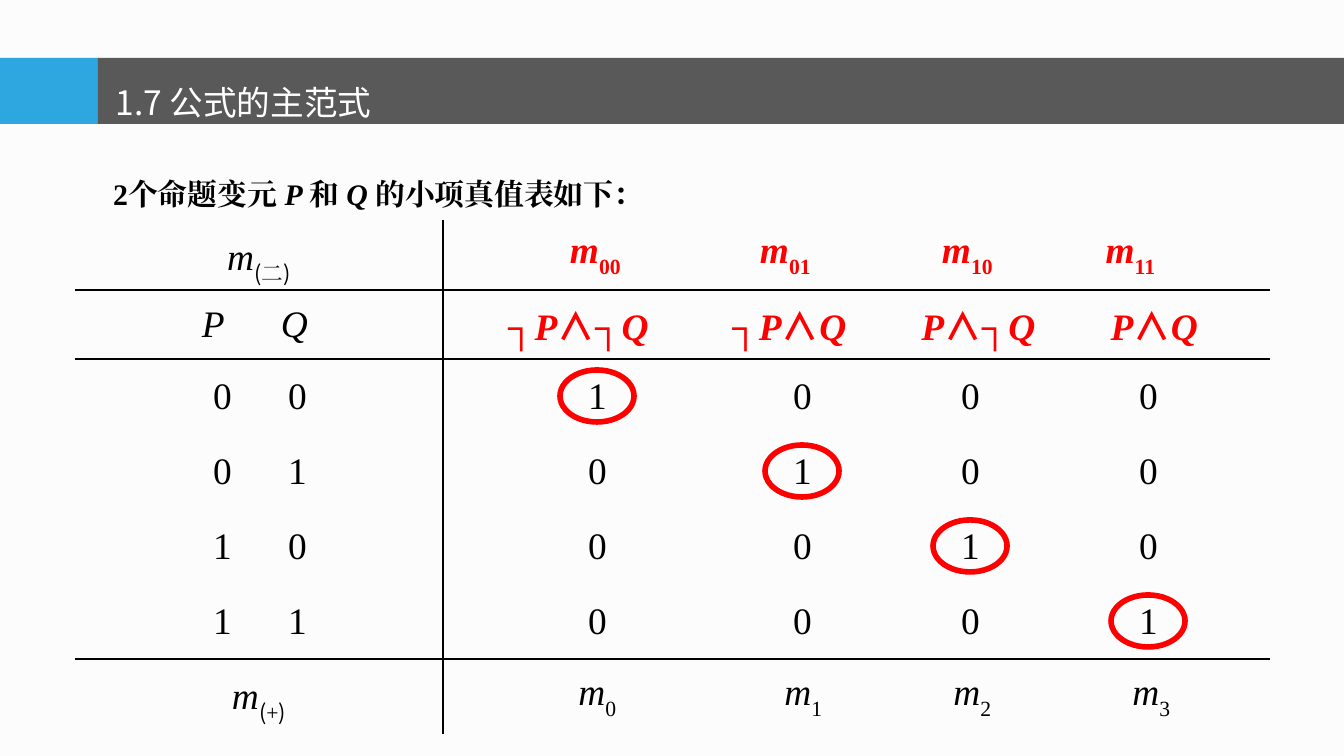
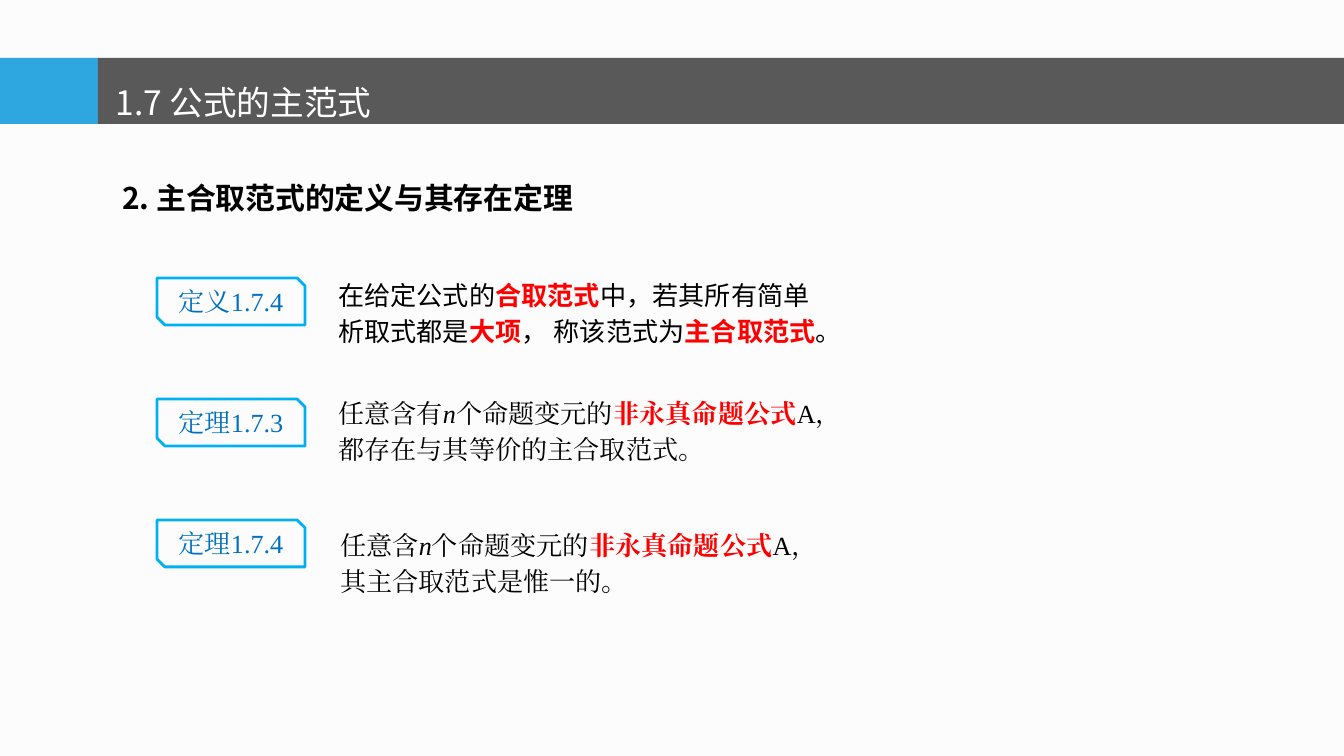
from lxml import etree
from pptx import Presentation
from pptx.dml.color import RGBColor
from pptx.enum.shapes import MSO_SHAPE
from pptx.enum.text import MSO_ANCHOR, MSO_AUTO_SIZE, PP_ALIGN
from pptx.oxml.ns import qn
from pptx.util import Emu, Pt

RECTANGLE, OVAL, SNIPPED = MSO_SHAPE.RECTANGLE, MSO_SHAPE.OVAL, MSO_SHAPE.SNIP_2_DIAG_RECTANGLE
TOP, MIDDLE = MSO_ANCHOR.TOP, MSO_ANCHOR.MIDDLE
LEFT, CENTER = PP_ALIGN.LEFT, PP_ALIGN.CENTER
NO_AUTOFIT = MSO_AUTO_SIZE.NONE
TITLE_ONLY = 5

EMU_PER_PIXEL = 914400 / 134.4
SLIDE_WIDTH, SLIDE_HEIGHT = 1344, 756
SANS, SERIF = "Noto Sans CJK SC", "Times New Roman"
TITLE = "1.7 公式的主范式"
COLORS = {
    "background": "FCFCFC", "accent": "2EA7E0", "band": "595959", "white": "FFFFFF",
    "black": "000000", "red": "FF0000", "outline": "00B0F0", "label": "0070C0",
}

# Truth table geometry
TABLE_LEFT, TABLE_TOP = 75, 220
COLUMN_WIDTHS = [368, 827]
ROW_HEIGHTS = [70, 69] + [75] * 5
RULED_ROWS = (0, 1, 5)
CELL_INSET = 13
DIGIT_STOPS = [597, 802, 970, 1148]


def px(length):
    return Emu(round(length * EMU_PER_PIXEL))


def rgb(name):
    return RGBColor.from_string(COLORS[name])


# Text
def style_run(run, size, font_name, color, flags=""):
    """Flags: b bold, i italic, r red, s subscript, n sans font."""
    font = run.font
    font.size = Pt(size)
    font.bold, font.italic = "b" in flags, "i" in flags
    font.color.rgb = rgb("red" if "r" in flags else color)
    font.name = SANS if "n" in flags else font_name
    properties = run._r.get_or_add_rPr()
    etree.SubElement(properties, qn("a:ea"), typeface=font.name)
    if "s" in flags:
        properties.set("baseline", "-30000")


def fill_paragraph(paragraph, segments, size, font_name=SERIF, color="black", align=LEFT):
    paragraph.alignment = align
    for text, flags in segments:
        run = paragraph.add_run()
        run.text = text
        style_run(run, size, font_name, color, flags)


def add_text(slide, box, lines, size, font_name=SERIF, spacing=None, before=0):
    frame = slide.shapes.add_textbox(*map(px, box)).text_frame
    frame.word_wrap = True
    for index, segments in enumerate(lines):
        paragraph = frame.add_paragraph() if index else frame.paragraphs[0]
        fill_paragraph(paragraph, segments, size, font_name)
        paragraph.line_spacing = spacing
        paragraph.space_before = Pt(before)


# Shapes
def add_shape(slide, kind, box, fill=None, line=None, line_width=1.0):
    shape = slide.shapes.add_shape(kind, *map(px, box))
    shape.shadow.inherit = False
    if fill:
        shape.fill.solid()
        shape.fill.fore_color.rgb = rgb(fill)
    else:
        shape.fill.background()
    if line:
        shape.line.color.rgb = rgb(line)
        shape.line.width = Pt(line_width)
    else:
        shape.line.fill.background()
    return shape


def add_label(slide, top, text):
    shape = add_shape(slide, SNIPPED, (157, top, 148, 47), line="outline", line_width=1.5)
    frame = shape.text_frame
    frame.word_wrap = False
    frame.vertical_anchor = MIDDLE
    paragraph = frame.paragraphs[0]
    fill_paragraph(paragraph, [(text, "")], 14, color="label", align=CENTER)
    paragraph.space_before = Pt(2.8)


def add_titled_slide(presentation):
    slide = presentation.slides.add_slide(presentation.slide_layouts[TITLE_ONLY])
    title = slide.shapes.title
    add_shape(slide, RECTANGLE, (0, 58, 98, 66), fill="accent")
    add_shape(slide, RECTANGLE, (98, 58, 1246, 66), fill="band")
    slide.shapes._spTree.append(title._element)  # title in front of the bands
    title.left, title.top, title.width, title.height = map(px, (102, 47, 552, 83))
    frame = title.text_frame
    frame.auto_size = NO_AUTOFIT
    frame.vertical_anchor = TOP
    frame.text = TITLE
    paragraph = frame.paragraphs[0]
    paragraph.alignment = LEFT
    paragraph.line_spacing = 1.7
    paragraph.space_before = Pt(3.6)
    style_run(paragraph.runs[0], 18, SANS, "white")
    return slide


# Table
def set_borders(cell, visible_sides):
    properties = cell._tc.get_or_add_tcPr()
    for side in "LRTB":
        line = etree.SubElement(properties, qn(f"a:ln{side}"), w=str(Pt(1)))
        if side in visible_sides:
            fill = etree.SubElement(line, qn("a:solidFill"))
            etree.SubElement(fill, qn("a:srgbClr"), val=COLORS["black"])
        else:
            etree.SubElement(line, qn("a:noFill"))


def set_center_stops(paragraph, centers, cell_left):
    tab_list = etree.SubElement(paragraph._p.get_or_add_pPr(), qn("a:tabLst"))
    for center in centers:
        position = px(center - cell_left - CELL_INSET)
        etree.SubElement(tab_list, qn("a:tab"), pos=str(position), algn="ctr")


def tabbed(groups):
    """Put every group of segments at its own tab stop."""
    return [segment for group in groups for segment in [("\t", ""), *group]]


def minterms(indices, flags=""):
    return tabbed([[("m", "i" + flags), (index, "s" + flags)] for index in indices])


def formula(negate_p, negate_q):
    parts = [("┐", "br")] if negate_p else []
    parts += [("P", "bir"), ("∧", "bnr")]
    parts += [("┐", "br")] if negate_q else []
    return parts + [("Q", "bir")]


def digits(values):
    return tabbed([[(str(value), "")] for value in values])


def table_rows():
    """Each row holds two cells, each cell its segments and tab stops."""
    pairs = [(p, q) for p in (0, 1) for q in (0, 1)]
    binary = [("m", "i"), ("(", "ns"), ("二", "s"), (")", "ns")]
    plus = [("m", "i"), ("(", "ns"), ("+", "s"), (")", "ns")]
    rows = [
        [(binary, None), (minterms([f"{p}{q}" for p, q in pairs], "br"), [595, 785, 967, 1130])],
        [(tabbed([[("P", "i")], [("Q", "i")]]), [213, 294]),
         (tabbed([formula(not p, not q) for p, q in pairs]), [578, 789, 978, 1154])],
    ]
    for pair in pairs:
        values = [int(pair == other) for other in pairs]
        rows.append([(digits(pair), [222, 297]), (digits(values), DIGIT_STOPS)])
    rows.append([(plus, None), (minterms("0123"), [597, 803, 972, 1151])])
    return rows


def add_truth_table(slide):
    box = (TABLE_LEFT, TABLE_TOP, sum(COLUMN_WIDTHS), sum(ROW_HEIGHTS))
    table = slide.shapes.add_table(len(ROW_HEIGHTS), len(COLUMN_WIDTHS), *map(px, box)).table
    table.first_row = table.horz_banding = False
    for column, width in zip(table.columns, COLUMN_WIDTHS):
        column.width = px(width)
    for row, height in zip(table.rows, ROW_HEIGHTS):
        row.height = px(height)
    for row_index, cells in enumerate(table_rows()):
        for column_index, (segments, stops) in enumerate(cells):
            cell = table.cell(row_index, column_index)
            cell.vertical_anchor = MIDDLE
            paragraph = cell.text_frame.paragraphs[0]
            fill_paragraph(paragraph, segments, 20, align=LEFT if stops else CENTER)
            if stops:
                set_center_stops(paragraph, stops, TABLE_LEFT + sum(COLUMN_WIDTHS[:column_index]))
            sides = "L" if column_index else "R"
            sides += "B" if row_index in RULED_ROWS else ""
            sides += "T" if row_index - 1 in RULED_ROWS else ""
            set_borders(cell, sides)
            cell.fill.background()


# Slides
def build_truth_table_slide(presentation):
    slide = add_titled_slide(presentation)
    heading = [("2个命题变元 ", "b"), ("P ", "bi"), ("和 ", "b"), ("Q ", "bi"),
               ("的小项真值表如下:".replace(":", "："), "b")]
    add_text(slide, (100, 160, 694, 59), [heading], 16, spacing=1.25)
    add_truth_table(slide)
    for index, center in enumerate(DIGIT_STOPS):
        add_shape(slide, OVAL, (center - 37, 370 + 75 * index, 74, 52), line="red", line_width=3)


def build_theorem_slide(presentation):
    slide = add_titled_slide(presentation)
    heading = [("2. 主合取范式的定义与其存在定理", "b")]
    add_text(slide, (109, 173, 1047, 70), [heading], 16, SANS, before=3.2)
    for index, text in enumerate(["定义1.7.4", "定理1.7.3", "定理1.7.4"]):
        add_label(slide, 278 + 121 * index, text)
    definition = [
        [("在给定公式的", ""), ("合取范式", "br"), ("中，若其所有简单", "")],
        [("析取式都是", ""), ("大项", "br"), ("， 称该范式为", ""), ("主合取范式", "br"), ("。", "")],
    ]
    add_text(slide, (325, 269, 892, 85), definition, 14, SANS, Pt(19))
    theorems = [
        ((325, 387, 659, 121), "任意含有", "都存在与其等价的主合取范式。"),
        ((327, 519, 659, 121), "任意含", "其主合取范式是惟一的。"),
    ]
    for box, opening, conclusion in theorems:
        premise = [(opening, ""), ("n", "i"), ("个命题变元的", ""),
                   ("非永真命题公式", "br"), ("A，", "")]
        add_text(slide, box, [premise, [(conclusion, "")]], 14, SERIF, Pt(19))


def main():
    presentation = Presentation()
    presentation.slide_width, presentation.slide_height = px(SLIDE_WIDTH), px(SLIDE_HEIGHT)
    background = presentation.slide_master.background.fill
    background.solid()
    background.fore_color.rgb = rgb("background")
    build_truth_table_slide(presentation)
    build_theorem_slide(presentation)
    presentation.save("out.pptx")


main()
